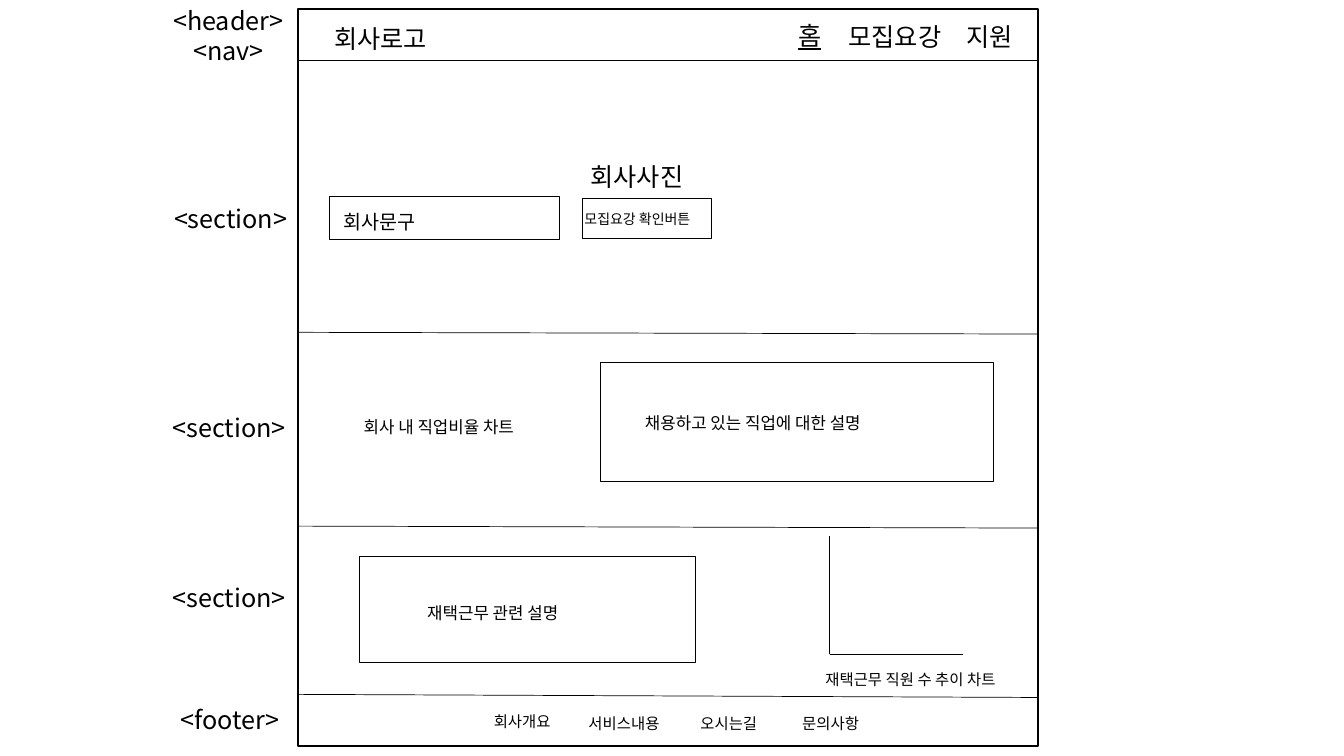
from dataclasses import dataclass

from lxml.etree import SubElement
from pptx import Presentation
from pptx.dml.color import RGBColor
from pptx.enum.shapes import MSO_CONNECTOR, MSO_SHAPE
from pptx.enum.text import MSO_ANCHOR, MSO_AUTO_SIZE, PP_ALIGN
from pptx.oxml.ns import qn
from pptx.util import Pt


@dataclass(frozen=True)
class Theme:
    font: str = "Noto Sans CJK KR"
    ink: RGBColor = RGBColor(0, 0, 0)
    paper: RGBColor = RGBColor(255, 255, 255)
    heading: int = 18
    phrase: int = 14
    body: int = 12
    small: int = 11
    button: int = 10
    frame_line: float = 1
    box_line: float = 0.75
    rule_line: float = 0.5


class Wireframe:
    def __init__(self, slide, theme):
        self.slide = slide
        self.theme = theme

    def box(self, left, top, width, height, line_width=None, fill=None):
        shape = self.slide.shapes.add_shape(
            MSO_SHAPE.RECTANGLE, Pt(left), Pt(top), Pt(width), Pt(height))
        shape.shadow.inherit = False
        if fill is None:
            shape.fill.background()
        else:
            shape.fill.solid()
            shape.fill.fore_color.rgb = fill
        shape.line.color.rgb = self.theme.ink
        shape.line.width = Pt(line_width or self.theme.box_line)
        return shape

    def rule(self, start, end):
        connector = self.slide.shapes.add_connector(
            MSO_CONNECTOR.STRAIGHT, *map(Pt, start + end))
        connector.line.color.rgb = self.theme.ink
        connector.line.width = Pt(self.theme.rule_line)
        SubElement(connector._element.spPr, qn("a:effectLst"))

    def text(self, words, left, top, width, height, size, underline=None):
        shape = self.slide.shapes.add_textbox(
            Pt(left), Pt(top), Pt(width), Pt(height))
        self.set_words(shape, words, size, underline)

    def outlined_text(self, words, left, top, width, height, size):
        shape = self.box(left, top, width, height)
        shape.line.color.rgb = self.theme.paper
        self.set_words(shape, words, size)

    def set_words(self, shape, words, size, underline=None):
        frame = shape.text_frame
        frame.text = words
        frame.word_wrap = True
        frame.auto_size = MSO_AUTO_SIZE.SHAPE_TO_FIT_TEXT
        frame.vertical_anchor = MSO_ANCHOR.TOP
        paragraph = frame.paragraphs[0]
        paragraph.alignment = PP_ALIGN.LEFT
        for run in paragraph.runs:
            run.font.name = self.theme.font
            run.font.size = Pt(size)
            run.font.color.rgb = self.theme.ink
            run.font.underline = underline
            SubElement(run.font._element, qn("a:ea"), typeface=self.theme.font)


theme = Theme()
presentation = Presentation()
presentation.slide_width = Pt(960)
presentation.slide_height = Pt(540)
slide = presentation.slides.add_slide(presentation.slide_layouts[6])
wireframe = Wireframe(slide, theme)

page_left, page_top, page_width, page_height = 213, 6.5, 528.5, 526.5
page_right = page_left + page_width
wireframe.box(page_left, page_top, page_width, page_height,
              theme.frame_line, theme.paper)

for left_end, right_end in [(43.2, 43.2), (237.4, 238.6),
                            (375.8, 377.2), (496, 498.2)]:
    wireframe.rule((page_left, left_end), (page_right, right_end))

heading_height = 29
for tag, left, top, width in [
    ("<header>", 116.6, 0, 98.6),
    ("<nav>", 131, 21.6, 75.6),
    ("<section>", 117.2, 142, 157.7),
    ("<section>", 116, 290.8, 157.7),
    ("<section>", 116, 412.6, 157.7),
    ("<footer>", 121.7, 499.7, 99.4),
]:
    wireframe.text(tag, left, top, width, heading_height, theme.heading)

for words, left, top, width, underline in [
    ("회사로고", 231.8, 13, 91.4, None),
    ("홈", 563, 10.8, 39.6, True),
    ("모집요강", 599, 11.5, 91.4, None),
    ("지원", 683.3, 11.5, 62.6, None),
    ("회사사진", 414.7, 111.6, 90.7, None),
]:
    wireframe.text(words, left, top, width, heading_height,
                   theme.heading, underline)

wireframe.box(235.6, 140.6, 164.2, 30.2)
wireframe.text("회사문구", 238.3, 146.2, 161.3, 24.5, theme.phrase)
wireframe.box(416, 141.6, 92.2, 28.8)
wireframe.text("모집요강 확인버튼", 410.4, 146.9, 118.8, 19.4, theme.button)

wireframe.text("회사 내 직업비율 차트", 252.7, 294.5, 135.4, 21.6, theme.body)
wireframe.outlined_text("채용하고 있는 직업에 대한 설명",
                        453.6, 291.6, 229.7, 21.6, theme.body)
wireframe.box(429.2, 258.6, 280.8, 85.4)

wireframe.box(257, 397.4, 240, 76)
wireframe.text("재택근무 관련 설명", 298.1, 427, 121.7, 21.6, theme.body)

chart_origin = (592.6, 467.3)
for axis_end in [(592.6, 382.6), (688, 467.3)]:
    wireframe.rule(chart_origin, axis_end)
wireframe.text("재택근무 직원 수 추이 차트", 582.5, 475.2, 152.6, 20.9, theme.small)

for words, left, top, width in [
    ("회사개요", 345.6, 505.4, 59),
    ("서비스내용", 413.3, 506.2, 72),
    ("오시는길", 493.2, 506.2, 82),
    ("문의사항", 565.9, 506.2, 59),
]:
    wireframe.text(words, left, top, width, 20.9, theme.small)

presentation.save("out.pptx")
